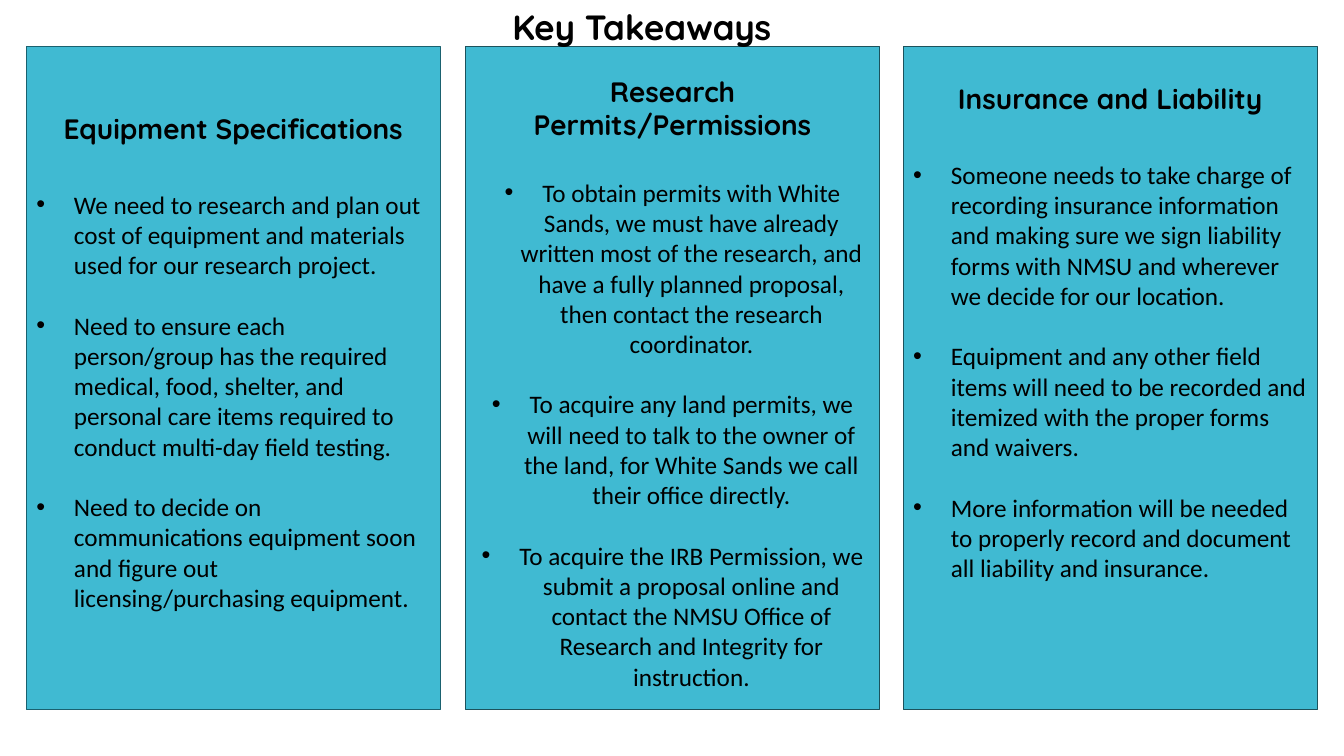
"""Build the Key Takeaways slide with three panels."""
from lxml import etree
from pptx import Presentation
from pptx.dml.color import RGBColor
from pptx.enum.text import MSO_ANCHOR, MSO_AUTO_SIZE, PP_ALIGN
from pptx.oxml.ns import qn
from pptx.util import Cm, Pt

LEFT, MID = PP_ALIGN.LEFT, PP_ALIGN.CENTER
TOP = MSO_ANCHOR.TOP
FIXED = MSO_AUTO_SIZE.NONE
BLACK = RGBColor(0x00, 0x00, 0x00)
TEAL = RGBColor(0x40, 0xBA, 0xD2)
EDGE = RGBColor(0x1A, 0x61, 0x6F)
DARK = RGBColor(0x1C, 0x52, 0x5C)

TITLE = "Key Takeaways"
PANELS = [
    dict(x=0.66, inset=1.65, gap=31.4, align=LEFT, edge=EDGE,
         head="Equipment Specifications",
         items=["We need to research and plan out cost of equipment and materials "
                "used for our research project.",
                "Need to ensure each person/group has the required medical, food, "
                "shelter, and personal care items required to conduct multi-day "
                "field testing.",
                "Need to decide on communications equipment soon and figure out "
                "licensing/purchasing equipment."]),
    dict(x=11.73, inset=0.72, gap=25.7, align=MID, edge=DARK,
         head="Research Permits/Permissions",
         items=["To obtain permits with White Sands, we must have already written "
                "most of the research, and have a fully planned proposal, then "
                "contact the research coordinator.",
                "To acquire any land permits, we will need to talk to the owner of "
                "the land, for White Sands we call their office directly.",
                "To acquire the IRB Permission, we submit a proposal online and "
                "contact the NMSU Office of Research and Integrity for "
                "instruction."]),
    dict(x=22.76, inset=0.9, gap=31.4, align=LEFT, edge=DARK,
         head="Insurance and Liability",
         items=["Someone needs to take charge of recording insurance information "
                "and making sure we sign liability forms with NMSU and wherever we "
                "decide for our location.",
                "Equipment and any other field items will need to be recorded and "
                "itemized with the proper forms and waivers.",
                "More information will be needed to properly record and document "
                "all liability and insurance."]),
]


def place(shape, x, y, w, h):
    """Move and size a shape, in centimetres."""
    shape.left, shape.top, shape.width, shape.height = map(Cm, (x, y, w, h))


def write(para, text, font, size, bold, align):
    """Fill a paragraph and format its run."""
    para.text = text
    para.alignment = align
    para.space_before = para.space_after = Pt(0)
    face = para.runs[0].font
    face.name, face.size, face.bold = font, Pt(size), bold
    face.color.rgb = BLACK


def mark(para, indent, sign):
    """Set the hanging indent and the bullet of a paragraph."""
    props = para._p.get_or_add_pPr()
    props.set("marL", str(indent))
    props.set("indent", str(-indent))
    if sign:
        etree.SubElement(props, qn("a:buFont")).set("typeface", "Arial")
        etree.SubElement(props, qn("a:buChar")).set("char", sign)
    else:
        etree.SubElement(props, qn("a:buNone"))


def fill(box, panel):
    """Draw one panel with its heading and list."""
    place(box, panel["x"], 1.17, 10.44, 16.71)
    box.fill.solid()
    box.fill.fore_color.rgb = TEAL
    box.line.color.rgb = panel["edge"]
    box.line.width = Pt(0.85)
    frame = box.text_frame
    frame.word_wrap = True
    frame.auto_size = FIXED
    frame.vertical_anchor = TOP
    frame.margin_top = Cm(panel["inset"])
    head = frame.paragraphs[0]
    write(head, panel["head"], "Quicksand", 20, True, MID)
    head.line_spacing = Pt(23.6)
    mark(head, 0, None)
    for i, item in enumerate(panel["items"]):
        para = frame.add_paragraph()
        write(para, item, "Calibri", 18, False, panel["align"])
        para.line_spacing = Pt(21.6)
        para.space_before = Pt(21.6 if i else panel["gap"])
        mark(para, Cm(0.95), "•")


def main():
    """Make the slide and save it."""
    deck = Presentation()
    deck.slide_width, deck.slide_height = Cm(33.87), Cm(19.05)
    slide = deck.slides.add_slide(deck.slide_layouts.get_by_name("Comparison"))
    title, *boxes = slide.placeholders
    for box, panel in zip(boxes, PANELS):
        fill(box, panel)
    for box in boxes[len(PANELS):] + [
            p for p in slide.placeholders if p.placeholder_format.idx >= 10]:
        box._element.getparent().remove(box._element)

    place(title, 7.82, 0, 16.71, 1.32)
    frame = title.text_frame
    frame.auto_size = FIXED
    frame.vertical_anchor = TOP
    write(frame.paragraphs[0], TITLE, "Quicksand", 25, True, MID)
    slide.shapes._spTree.append(title._element)
    deck.save("out.pptx")


if __name__ == "__main__":
    main()
